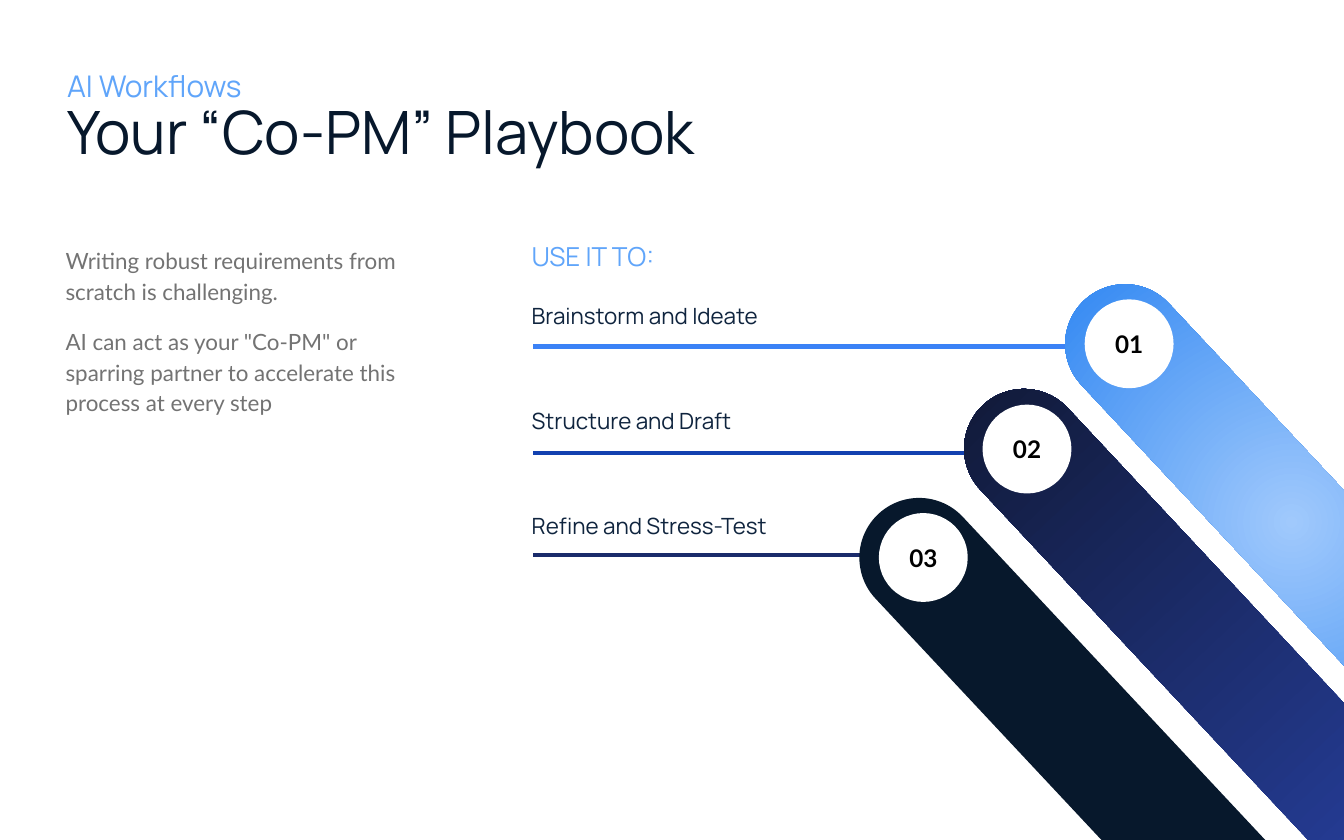
from lxml import etree
from pptx import Presentation
from pptx.dml.color import RGBColor
from pptx.enum import shapes, text
from pptx.oxml.ns import qn
from pptx.util import Cm, Pt

NAVY = RGBColor(0x07, 0x18, 0x2C)
LABEL = RGBColor(0x0F, 0x24, 0x3E)
SKY = RGBColor(0x60, 0xA5, 0xFA)
GREY = RGBColor(0x73, 0x73, 0x73)
BLACK = RGBColor(0x00, 0x00, 0x00)
WHITE = RGBColor(0xFF, 0xFF, 0xFF)
LINE_BLUE = RGBColor(0x3B, 0x82, 0xF6)
LINE_ROYAL = RGBColor(0x12, 0x41, 0xB0)
LINE_INDIGO = RGBColor(0x1A, 0x2B, 0x6B)
GLOW = RGBColor(0xA0, 0xC9, 0xFC)
AZURE = RGBColor(0x28, 0x82, 0xF1)
INDIGO = RGBColor(0x27, 0x40, 0xA0)
MIDNIGHT = RGBColor(0x10, 0x18, 0x34)

HEAD_FONT, BODY_FONT = "Manrope", "Lato"
LABEL_LEFT, LABEL_TOP, LABEL_STEP = 9.8, 5.38, 1.99
LINE_LEFT = 10.08
BAR_W, BAR_H, BAR_ANGLE = 11.48, 2.26, 46.9
DISC = 1.68

# label, line colour, line end (x, y), bar corner, bar colours, disc corner
STEPS = [
    ("Brainstorm and Ideate", LINE_BLUE, (20.5, 6.55),
     (18.67, 8.74), (GLOW, AZURE), (20.5, 5.66)),
    ("Structure and Draft", LINE_ROYAL, (18.26, 8.56),
     (16.76, 10.72), (INDIGO, MIDNIGHT), (18.57, 7.65)),
    ("Refine and Stress-Test", LINE_INDIGO, (16.84, 10.49),
     (14.78, 12.78), (NAVY,), (16.61, 9.7)),
]


def style(p, size, font, color, bold=False):
    for r in p.runs:
        r.font.size = Pt(size)
        r.font.name = font
        r.font.color.rgb = color
        r.font.bold = bold


def set_margins(tf, margin):
    tf.margin_left = tf.margin_right = Cm(margin)
    tf.margin_top = tf.margin_bottom = Cm(margin)


def add_text(s, box, lines, size, font, color, margin=0.0, spacing=None,
             gap=0, anchor=text.MSO_ANCHOR.TOP):
    tf = s.shapes.add_textbox(*map(Cm, box)).text_frame
    tf.word_wrap = True
    tf.vertical_anchor = anchor
    set_margins(tf, margin)
    tf.text = "\n".join(lines)
    for i, p in enumerate(tf.paragraphs):
        p.line_spacing = spacing
        if i:
            p.space_before = Pt(gap)
        style(p, size, font, color)


def add_line(s, end, color):
    x, y = end
    line = s.shapes.add_connector(shapes.MSO_CONNECTOR.STRAIGHT,
                                  Cm(LINE_LEFT), Cm(y), Cm(x), Cm(y))
    line.line.color.rgb = color
    line.line.width = Pt(2.25)
    etree.SubElement(line._element.spPr, qn("a:effectLst"))


def add_plain_shape(s, kind, corner, width, height):
    sp = s.shapes.add_shape(kind, *map(Cm, (*corner, width, height)))
    sp.shadow.inherit = False
    sp.line.fill.background()
    return sp


def make_radial(sp):
    """Turn the linear gradient of a shape into one that spreads from its centre."""
    lin = sp._element.spPr.find(".//" + qn("a:lin"))
    radial = etree.Element(qn("a:path"), path="circle")
    etree.SubElement(radial, qn("a:fillToRect"),
                     dict.fromkeys("ltrb", "50000"))
    lin.getparent().replace(lin, radial)


def add_bar(s, corner, colors):
    sp = add_plain_shape(s, shapes.MSO_SHAPE.ROUNDED_RECTANGLE,
                         corner, BAR_W, BAR_H)
    sp.adjustments[0] = 0.5
    sp.rotation = BAR_ANGLE
    if len(colors) == 1:
        sp.fill.solid()
        sp.fill.fore_color.rgb = colors[0]
        return sp
    sp.fill.gradient()
    sp.fill.gradient_angle = 180
    for i, (stop, color) in enumerate(zip(sp.fill.gradient_stops, colors)):
        stop.position = i
        stop.color.rgb = color
    return sp


def add_disc(s, corner, number):
    sp = add_plain_shape(s, shapes.MSO_SHAPE.OVAL, corner, DISC, DISC)
    sp.fill.solid()
    sp.fill.fore_color.rgb = WHITE
    tf = sp.text_frame
    set_margins(tf, 0.25)
    tf.vertical_anchor = text.MSO_ANCHOR.MIDDLE
    tf.text = f"{number:02d}"
    p = tf.paragraphs[0]
    p.alignment = text.PP_ALIGN.CENTER
    style(p, 13, BODY_FONT, BLACK, bold=True)


def main():
    prs = Presentation()
    prs.slide_width, prs.slide_height = Cm(25.4), Cm(15.88)
    s = prs.slides.add_slide(prs.slide_layouts[6])

    middle = text.MSO_ANCHOR.MIDDLE
    add_text(s, (1.27, 1.27, 22.86, 0.69), ["AI Workflows"],
             16, HEAD_FONT, SKY, anchor=middle)
    add_text(s, (1.27, 2.06, 22.86, 1.09), ["Your “Co-PM” Playbook"],
             32, HEAD_FONT, NAVY, spacing=0.8, anchor=middle)
    add_text(s, (1.24, 4.6, 6.83, 6.15),
             ["Writing robust requirements from scratch is challenging.",
              'AI can act as your "Co-PM" or sparring partner to accelerate '
              "this process at every step"],
             12, BODY_FONT, GREY, spacing=1.15, gap=10)
    add_text(s, (LABEL_LEFT, 4.29, 7.59, 1.12), ["USE IT TO:"],
             14, HEAD_FONT, SKY, margin=0.25)

    for i, (label, color, end, *_) in enumerate(STEPS):
        add_line(s, end, color)
        add_text(s, (LABEL_LEFT, LABEL_TOP + i * LABEL_STEP, 6.83, 1.02),
                 [label], 12, HEAD_FONT, LABEL, margin=0.25, spacing=1.15)

    for number in (3, 2, 1):
        *_, bar_corner, colors, disc_corner = STEPS[number - 1]
        bar = add_bar(s, bar_corner, colors)
        if number == 1:
            make_radial(bar)
        add_disc(s, disc_corner, number)

    prs.save("out.pptx")


if __name__ == "__main__":
    main()
